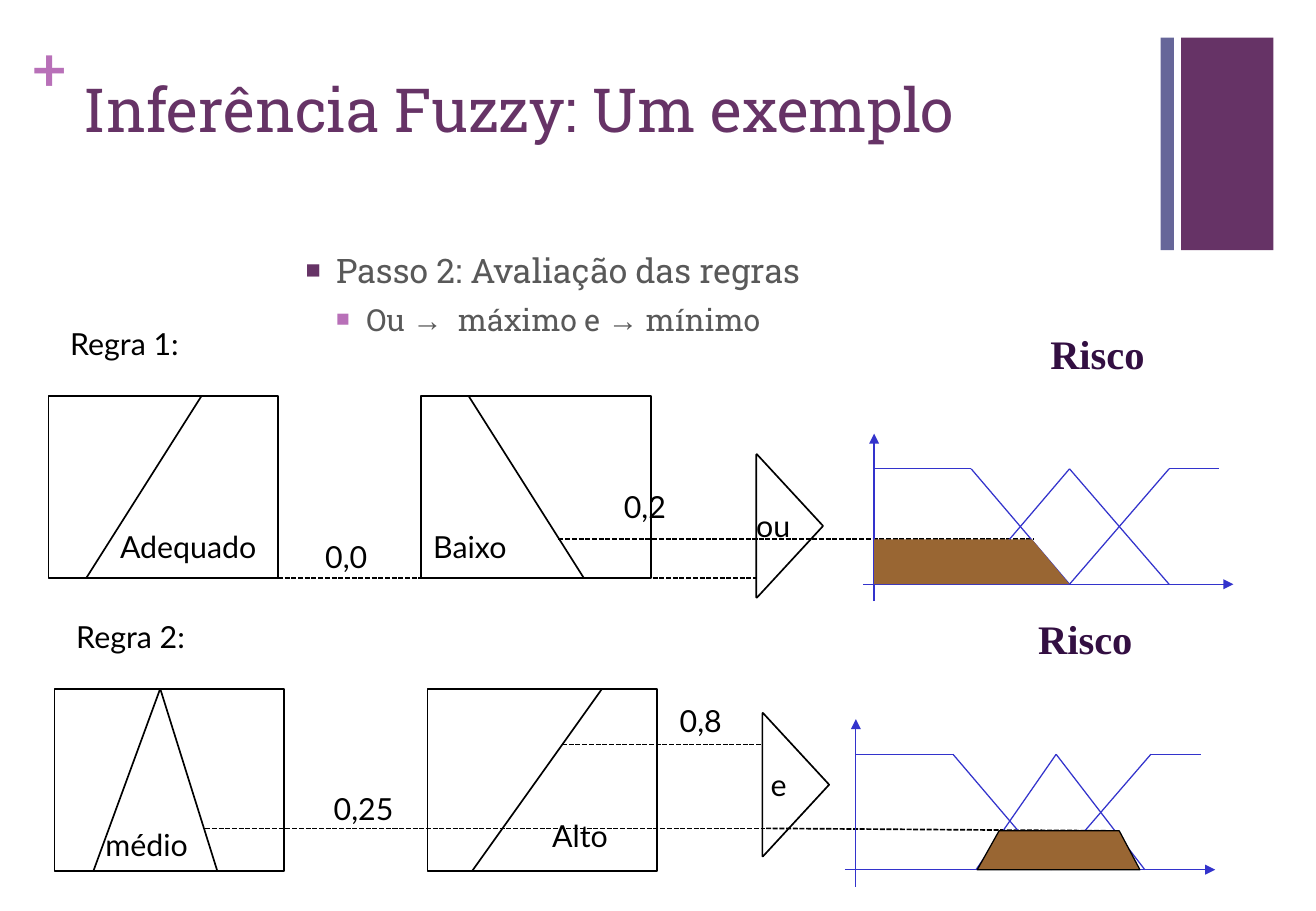
from lxml import etree
from pptx import Presentation
from pptx import util as u
from pptx.dml.color import RGBColor
from pptx.enum import dml, shapes, text
from pptx.oxml.ns import qn

PURPLE, ORCHID, SLATE = "663366", "B870B8", "666699"
BLACK, WHITE, GRAY = "000000", "FFFFFF", "595959"
AXIS_BLUE, BROWN, RISK_TEXT = "3333CC", "996633", "330F42"
SET_W, SET_H = 1.89, 1.5


def rgb(value):
    return RGBColor.from_string(value)


def style_shape(sp, fill, line=None, width=1):
    sp.shadow.inherit = False
    sp.fill.solid()
    sp.fill.fore_color.rgb = rgb(fill)
    if line:
        sp.line.color.rgb = rgb(line)
        sp.line.width = u.Pt(width)
    else:
        sp.line.fill.background()


def add_rect(slide, x, y, w, h, fill, line=None):
    sp = slide.shapes.add_shape(shapes.MSO_SHAPE.RECTANGLE, *map(u.Inches, (x, y, w, h)))
    style_shape(sp, fill, line)


def add_line(slide, x1, y1, x2, y2, color=BLACK, width=1, dotted=False, arrow=False):
    line = slide.shapes.add_connector(shapes.MSO_CONNECTOR.STRAIGHT,
                                      *map(u.Inches, (x1, y1, x2, y2)))
    line.line.color.rgb = rgb(color)
    line.line.width = u.Pt(width)
    if dotted:
        line.line.dash_style = dml.MSO_LINE.SQUARE_DOT
    sp_pr = line._element.spPr
    if arrow:
        etree.SubElement(sp_pr.find(qn("a:ln")), qn("a:tailEnd"), type="triangle")
    etree.SubElement(sp_pr, qn("a:effectLst"))


def add_run(p, value, size, color, font="Lato", bold=False):
    r = p.add_run()
    r.text = value
    r.font.size, r.font.name, r.font.bold = u.Pt(size), font, bold
    r.font.color.rgb = rgb(color)


def add_text(slide, value, x, y, w, h=0.4, size=18, color=BLACK, font="Lato",
             bold=False, align=text.PP_ALIGN.LEFT, inset=0.1, wrap=False):
    tf = slide.shapes.add_textbox(*map(u.Inches, (x, y, w, h))).text_frame
    tf.word_wrap = wrap
    tf.margin_left = tf.margin_right = u.Inches(inset)
    tf.margin_top = tf.margin_bottom = u.Inches(inset / 2)
    p = tf.paragraphs[0]
    p.alignment = align
    add_run(p, value, size, color, font, bold)


def add_bullet(p, indent, color):
    p_pr = p._p.get_or_add_pPr()
    p_pr.set("marL", str(u.Inches(indent)))
    p_pr.set("indent", str(u.Inches(-0.25)))
    bu_clr = etree.SubElement(p_pr, qn("a:buClr"))
    etree.SubElement(bu_clr, qn("a:srgbClr"), val=color)
    etree.SubElement(p_pr, qn("a:buSzPct"), val="75000")
    etree.SubElement(p_pr, qn("a:buFont"), typeface="Arial")
    etree.SubElement(p_pr, qn("a:buChar"), char="■")


def header(slide, x, y):
    # Corner bars, plus sign and title
    add_rect(slide, x + 9.47, y, 0.76, 1.75, PURPLE)
    add_rect(slide, x + 9.3, y, 0.11, 1.75, SLATE)
    add_text(slide, "+", x, y - 0.06, 0.31, 0.6, size=36, color=ORCHID, bold=True, inset=0)
    add_text(slide, "Inferência Fuzzy: Um exemplo", x + 0.33, y + 0.23, 8.95, 1.22,
             size=36, color=PURPLE, font="Roboto Slab", wrap=True)


def step_list(slide, x, y, w, h):
    tf = slide.shapes.add_textbox(*map(u.Inches, (x, y, w, h))).text_frame
    tf.word_wrap = True
    p = tf.paragraphs[0]
    add_bullet(p, 0.25, PURPLE)
    add_run(p, "Passo 2: Avaliação das regras", 20, GRAY, "Roboto Slab")
    p = tf.add_paragraph()
    p.level = 1
    p.space_before = u.Pt(6)
    add_bullet(p, 0.5, ORCHID)
    for part in ("Ou ", "→", "  máximo e ", "→", " mínimo"):
        add_run(p, part, 18, GRAY, "Arial" if part == "→" else "Roboto Slab")


def fuzzy_set(slide, x, y, label, label_box, edges):
    add_rect(slide, x, y, SET_W, SET_H, WHITE, BLACK)
    for foot, top in edges:
        add_line(slide, x + foot, y + SET_H, x + top, y)
    dx, dy, w = label_box
    add_text(slide, label, x + dx, y + dy, w)


def gate(slide, x, y, label, label_dx):
    sp = slide.shapes.add_shape(shapes.MSO_SHAPE.RIGHT_ARROW,
                                *map(u.Inches, (x, y, 0.55, 1.18)))
    sp.adjustments[0], sp.adjustments[1] = 1, 0.99
    style_shape(sp, WHITE, BLACK)
    add_text(slide, label, x + label_dx, y + 0.39, 0.5, inset=0.1)


def risk_chart(slide, x, y, title_dx, middle, area, outline):
    """Membership curves of the risk; (x, y) is where the axes cross."""
    add_text(slide, "Risco", x + title_dx, y - 2.15, 0.98, 0.5, size=24, color=RISK_TEXT,
             font="Times New Roman", bold=True, align=text.PP_ALIGN.CENTER)
    blue = {"color": AXIS_BLUE, "width": 0.75}
    add_line(slide, x, y + 0.14, x, y - 1.24, arrow=True, **blue)
    add_line(slide, x - 0.09, y, x + 2.96, y, arrow=True, **blue)
    # Low, medium and high curves
    start, peak, end = middle
    top = 0.95
    curves = [[(0, top), (0.8, top), (1.61, 0)],
              [(start, 0), (peak, top), (end, 0)],
              [(1.61, 0), (2.43, top), (2.84, top)]]
    for curve in curves:
        for (x1, y1), (x2, y2) in zip(curve, curve[1:]):
            add_line(slide, x + x1, y - y1, x + x2, y - y2, **blue)
    # Clipped output area
    points = [(u.Inches(x + px), u.Inches(y - py)) for px, py in area]
    builder = slide.shapes.build_freeform(*points[0])
    builder.add_line_segments(points[1:], close=True)
    style_shape(builder.convert_to_shape(), BROWN, outline, 0.75)


def rule(slide, x, y, title, sets, gate_at, links, values, chart):
    """One rule; (x, y) is the top left of its first fuzzy set."""
    add_text(slide, title, x + 0.08, y - 0.63, 1.17)
    for i, fuzzy in enumerate(sets):
        fuzzy_set(slide, x + 3.07 * i, y, **fuzzy)
    gate(slide, x + 5.83, y + gate_at["dy"], gate_at["label"], gate_at["label_dx"])
    for x1, y1, x2, y2 in links:
        add_line(slide, x + x1, y + y1, x + x2, y + y2, dotted=True)
    for value, dx, dy, w in values:
        add_text(slide, value, x + dx, y + dy, w)
    dx, dy = chart.pop("at")
    risk_chart(slide, x + dx, y + dy, **chart)


def main():
    prs = Presentation()
    prs.slide_width, prs.slide_height = u.Inches(10.84), u.Inches(7.5)
    slide = prs.slides.add_slide(prs.slide_layouts[6])
    header(slide, 0.26, 0.31)
    step_list(slide, 2.42, 2.01, 5.89, 1.07)
    rule(slide, 0.4, 3.26, "Regra 1:",
         sets=[dict(label="Adequado", label_box=(0.49, 1.04, 1.41), edges=[(0.31, 1.26)]),
               dict(label="Baixo", label_box=(0, 1.04, 0.85), edges=[(1.34, 0.39)])],
         gate_at=dict(dy=0.48, label="ou", label_dx=-0.1),
         links=[(1.89, 1.5, 5.83, 1.5), (4.2, 1.18, 5.85, 1.18), (5.85, 1.18, 8.12, 1.18)],
         values=[("0,0", 2.18, 1.12, 0.55), ("0,2", 4.64, 0.71, 0.55)],
         chart=dict(at=(6.8, 1.55), title_dx=1.35, middle=(0.8, 1.61, 2.43), outline=None,
                    area=[(0, 0.37), (1.3, 0.37), (1.61, 0), (0, 0)]))
    rule(slide, 0.45, 5.67, "Regra 2:",
         sets=[dict(label="médio", label_box=(0.32, 1.08, 0.94),
                    edges=[(0.32, 0.87), (1.34, 0.87)]),
               dict(label="Alto", label_box=(0.93, 1.01, 0.66), edges=[(0.37, 1.44)])],
         gate_at=dict(dy=0.2, label="e", label_dx=-0.03),
         links=[(1.24, 1.15, 5.85, 1.15), (4.18, 0.46, 5.83, 0.46), (5.86, 1.15, 8.67, 1.17)],
         values=[("0,25", 2.2, 0.79, 0.69), ("0,8", 5.05, 0.06, 0.55)],
         chart=dict(at=(6.6, 1.49), title_dx=1.4, middle=(0.99, 1.65, 2.38), outline=BLACK,
                    area=[(1.18, 0.32), (2.17, 0.32), (2.34, 0), (1, 0)]))
    prs.save("out.pptx")


if __name__ == "__main__":
    main()
